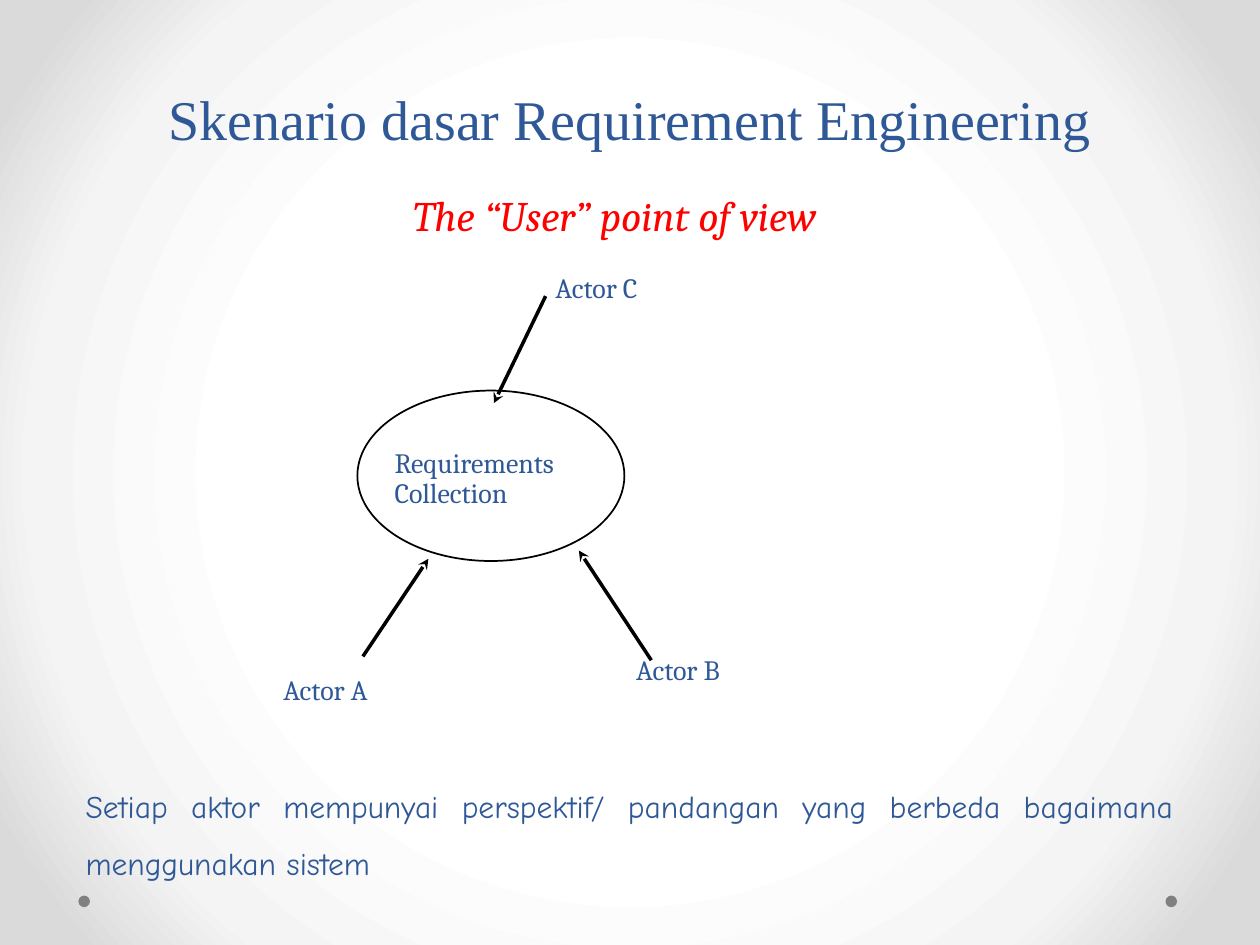
from lxml.etree import SubElement
from pptx import Presentation
from pptx.dml.color import RGBColor
from pptx.enum.shapes import MSO_CONNECTOR, MSO_SHAPE
from pptx.enum.text import MSO_ANCHOR, PP_ALIGN
from pptx.oxml.ns import qn
from pptx.util import Pt

COLORS = {
    "blue": "2F5897",
    "red": "FF0000",
    "black": "000000",
    "white": "FFFFFF",
    "light": "F4F4F4",
    "edge": "DADADA",
    "dot": "808080",
}


def color(name):
    return RGBColor.from_string(COLORS[name])


def set_background(slide, stops):
    """Fill the background with a circular gradient around the centre."""
    slide.background.fill.gradient()
    gradient = slide.element.find(".//" + qn("a:gradFill"))
    for child in list(gradient):
        gradient.remove(child)
    stop_list = SubElement(gradient, qn("a:gsLst"))
    for percent, name in stops:
        stop = SubElement(stop_list, qn("a:gs"), pos=str(percent * 1000))
        SubElement(stop, qn("a:srgbClr"), val=COLORS[name])
    circle = SubElement(gradient, qn("a:path"), path="circle")
    SubElement(circle, qn("a:fillToRect"), l="50000", t="50000", r="50000", b="50000")


def add_text(slide, box, text, size, font="Cambria", ink="blue", italic=None,
             spacing=0.9, align=None, anchor=MSO_ANCHOR.TOP, wrap=False, before=None):
    shape = slide.shapes.add_textbox(*map(Pt, box))
    frame = shape.text_frame
    frame.word_wrap = wrap
    frame.vertical_anchor = anchor
    frame.text = text
    for paragraph in frame.paragraphs:
        paragraph.line_spacing = spacing
        paragraph.alignment = align
        paragraph.space_before = before
        for run in paragraph.runs:
            run.font.size = Pt(size)
            run.font.name = font
            run.font.italic = italic
            run.font.color.rgb = color(ink)


def add_ellipse(slide, box, fill, line=None):
    shape = slide.shapes.add_shape(MSO_SHAPE.OVAL, *map(Pt, box))
    shape.shadow.inherit = False
    shape.fill.solid()
    shape.fill.fore_color.rgb = color(fill)
    if line:
        shape.line.color.rgb = color(line)
        shape.line.width = Pt(1)
    else:
        shape.line.fill.background()


def add_arrow(slide, start, end):
    connector = slide.shapes.add_connector(
        MSO_CONNECTOR.STRAIGHT, *map(Pt, start), *map(Pt, end))
    connector.line.color.rgb = color("black")
    connector.line.width = Pt(2)
    SubElement(connector.line._get_or_add_ln(), qn("a:tailEnd"), type="stealth")
    SubElement(connector.element.spPr, qn("a:effectLst"))


def main():
    presentation = Presentation()
    presentation.slide_width, presentation.slide_height = Pt(720), Pt(540)
    slide = presentation.slides.add_slide(presentation.slide_layouts[6])

    # Background and corner dots
    set_background(slide, [(50, "white"), (76, "light"), (92, "edge")])
    for left in (666, 44.8):
        add_ellipse(slide, (left, 511.8, 6.6, 6.6), "dot")

    # Headings
    add_text(slide, (18, 30, 684, 60), "Skenario dasar Requirement Engineering", 32,
             font="Times New Roman", spacing=Pt(58), align=PP_ALIGN.CENTER,
             anchor=MSO_ANCHOR.BOTTOM, wrap=True)
    add_text(slide, (229, 108, 261.4, 34), "The “User” point of view", 24,
             ink="red", italic=True)

    # Central collection
    add_ellipse(slide, (204.2, 223.2, 152.6, 97.4), "white", line="black")
    add_text(slide, (218.4, 253.4, 125.3, 42), "Requirements\nCollection", 16)

    # Actors: label position, arrow start, arrow end
    actors = {
        "Actor A": ((154.8, 383), (207.4, 375.1), (244.8, 319.3)),
        "Actor B": ((356.4, 371.5), (372.2, 377.3), (330.8, 314.6)),
        "Actor C": ((310.3, 153.4), (311.8, 169.2), (282.2, 230.4)),
    }
    for name, (position, start, end) in actors.items():
        add_arrow(slide, start, end)
        add_text(slide, (*position, 72, 24.5), name, 16)

    # Conclusion
    add_text(slide, (41.8, 435.6, 635.8, 69),
             "Setiap aktor mempunyai perspektif/ pandangan yang berbeda "
             "bagaimana menggunakan sistem", 18, font="Comic Neue", spacing=1.5,
             align=PP_ALIGN.JUSTIFY, wrap=True, before=Pt(9))

    presentation.save("out.pptx")


if __name__ == "__main__":
    main()
